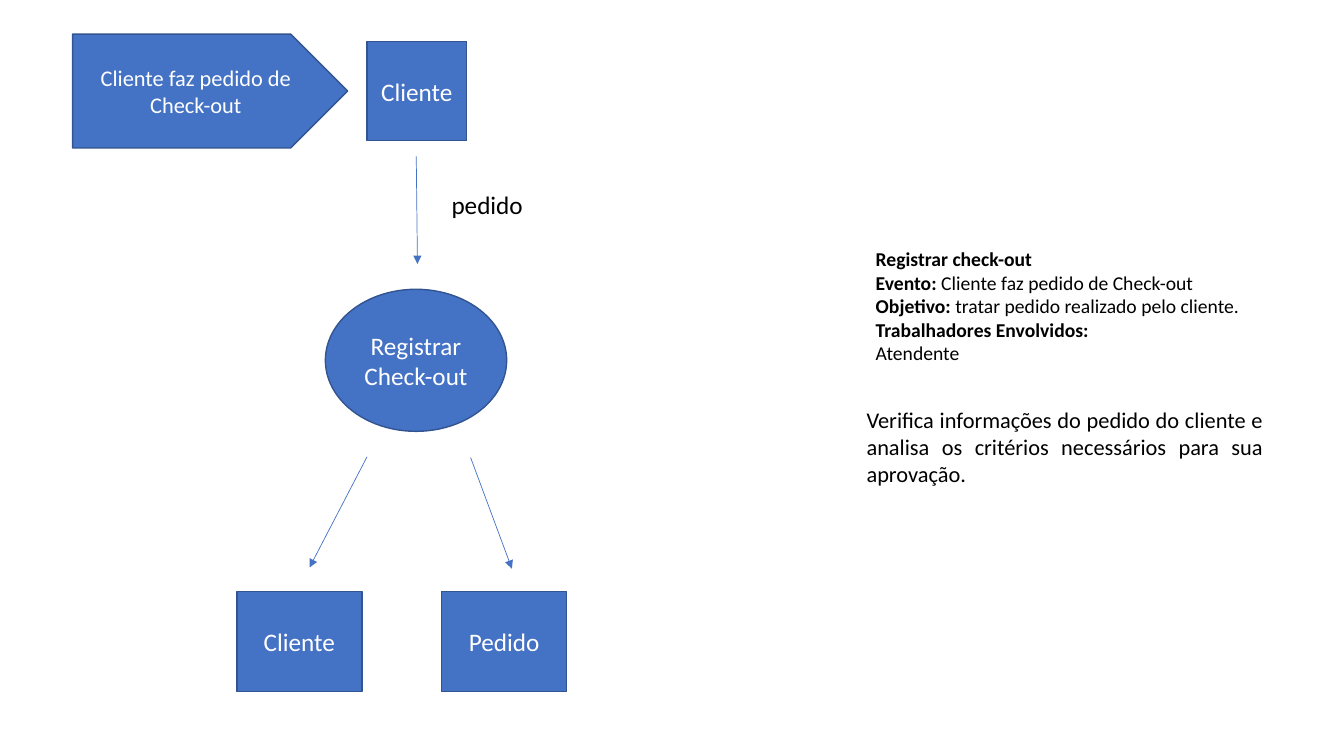
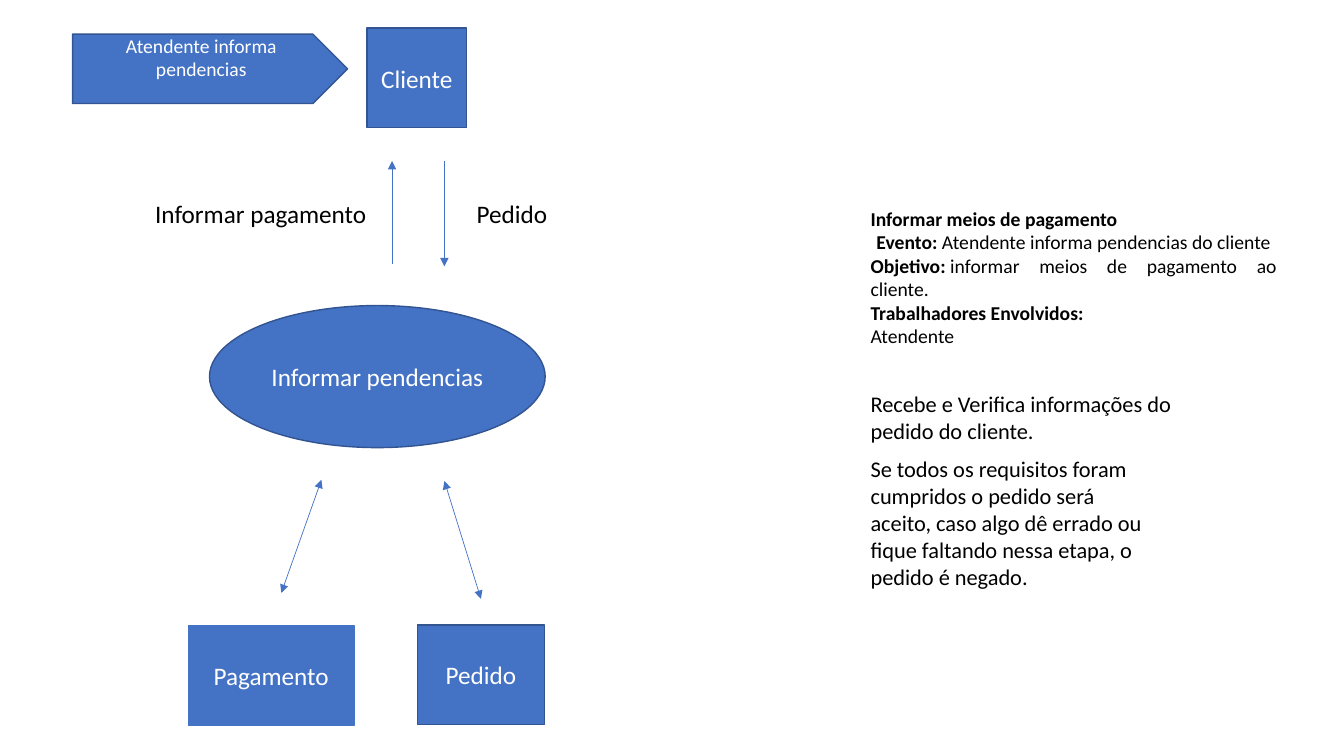
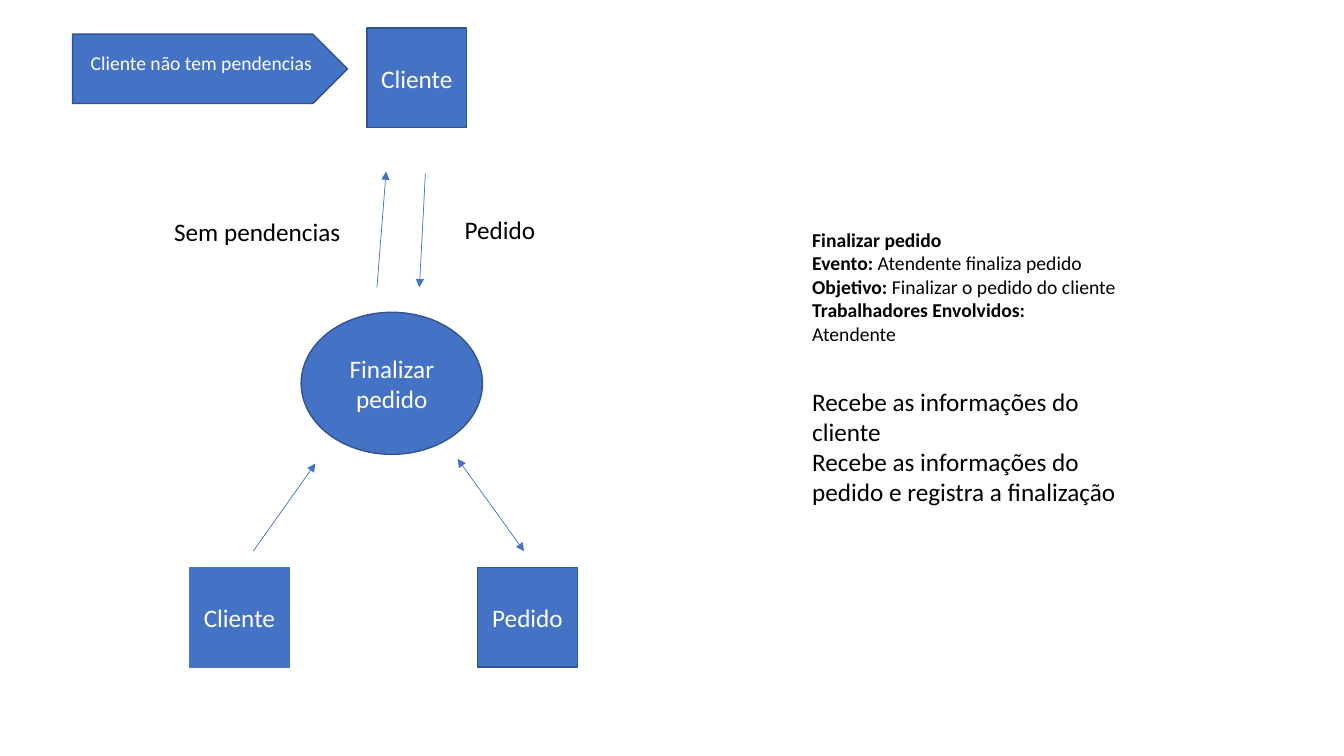
from pptx import Presentation
from pptx.dml.color import RGBColor
from pptx.enum import shapes, text
from pptx.oxml import xmlchemy
from pptx.util import Cm, Pt

# Shared look
COLOURS = {"fill": "4472C4", "outline": "325491", "ink": "000000", "light": "FFFFFF"}
FONT = "Calibri"
BOX = 2.51
ELLIPSE_HEIGHT = 3.58
LABEL_HEIGHT = 1.02
CLIENT_LEFT = 9.25
EVENT_LEFT, EVENT_TOP, EVENT_WIDTH = 1.83, 0.86, 6.93
LEFT, CENTRE, JUSTIFY = text.PP_ALIGN.LEFT, text.PP_ALIGN.CENTER, text.PP_ALIGN.JUSTIFY


def colour(name):
    return RGBColor.from_string(COLOURS[name])


def format_paragraph(paragraph, size, ink, alignment):
    paragraph.alignment = alignment
    paragraph.font.name = FONT
    paragraph.font.size = Pt(size)
    paragraph.font.color.rgb = colour(ink)


# Elements
def add_node(slide, kind, caption, left, top, width, height, size=18, outline="outline"):
    shape = slide.shapes.add_shape(kind, Cm(left), Cm(top), Cm(width), Cm(height))
    shape.shadow.inherit = False
    shape.fill.solid()
    shape.fill.fore_color.rgb = colour("fill")
    shape.line.color.rgb = colour(outline)
    shape.line.width = Pt(1)
    frame = shape.text_frame
    frame.word_wrap = True
    frame.vertical_anchor = text.MSO_ANCHOR.MIDDLE
    frame.text = caption
    format_paragraph(frame.paragraphs[0], size, "light", CENTRE)
    return shape


def add_entity(slide, caption, left, top, width=BOX, outline="outline"):
    add_node(slide, shapes.MSO_SHAPE.RECTANGLE, caption, left, top, width, BOX,
             outline=outline)


def add_process(slide, caption, left, top, width=4.57):
    add_node(slide, shapes.MSO_SHAPE.OVAL, caption, left, top, width, ELLIPSE_HEIGHT)


def add_event(slide, caption, height, size, raise_by=0):
    """Event pentagon; a deeper bottom inset lifts its caption."""
    shape = add_node(slide, shapes.MSO_SHAPE.PENTAGON, caption, EVENT_LEFT, EVENT_TOP,
                     EVENT_WIDTH, height, size)
    if raise_by:
        shape.text_frame.margin_top = 0
        shape.text_frame.margin_bottom = Cm(2 * raise_by)


def add_arrow(slide, start, end, both_ways=False):
    connector = slide.shapes.add_connector(
        shapes.MSO_CONNECTOR.STRAIGHT, *(Cm(value) for value in (*start, *end)))
    connector.line.color.rgb = colour("fill")
    connector.line.width = Pt(0.5)
    line = connector.line._get_or_add_ln()
    for tag in ("a:headEnd", "a:tailEnd") if both_ways else ("a:tailEnd",):
        arrowhead = xmlchemy.OxmlElement(tag)
        arrowhead.set("type", "triangle")
        line.append(arrowhead)
    connector._element.spPr.append(xmlchemy.OxmlElement("a:effectLst"))


def add_text(slide, lines, left, top, width, height, size=18, alignment=LEFT):
    """Each line is a string, or a (bold, regular) pair."""
    shape = slide.shapes.add_textbox(Cm(left), Cm(top), Cm(width), Cm(height))
    frame = shape.text_frame
    frame.word_wrap = True
    frame.auto_size = text.MSO_AUTO_SIZE.SHAPE_TO_FIT_TEXT
    for index, line in enumerate(lines):
        paragraph = frame.add_paragraph() if index else frame.paragraphs[0]
        format_paragraph(paragraph, size, "ink", alignment)
        bold, regular = ("", line) if isinstance(line, str) else line
        for words, is_bold in ((bold, True), (regular, False)):
            if words:
                run = paragraph.add_run()
                run.text = words
                run.font.bold = is_bold
    return shape


def add_label(slide, caption, left, top, width):
    add_text(slide, [caption], left, top, width, LABEL_HEIGHT)


def add_summary(slide, title, event, goal, left, top, width, height):
    lines = [(title, ""), event, goal, ("Trabalhadores Envolvidos:", ""), "Atendente"]
    return add_text(slide, lines, left, top, width, height, 14, JUSTIFY)


# Slides
def build_register(slide):
    add_event(slide, "Cliente faz pedido de Check-out", 2.87, 16)
    add_entity(slide, "Cliente", CLIENT_LEFT, 1.04)
    add_process(slide, "Registrar Check-out", 8.2, 7.29)
    add_entity(slide, "Cliente", 5.97, 14.91, 3.15)
    add_entity(slide, "Pedido", 11.13, 14.91, 3.15)
    add_arrow(slide, (10.49, 3.94), (10.52, 6.65))
    add_arrow(slide, (11.86, 11.53), (12.9, 14.33))
    add_arrow(slide, (9.25, 11.51), (7.8, 14.3))
    add_label(slide, "pedido", 11.13, 4.65, 2.49)
    add_summary(slide, "Registrar check-out",
                ("Evento:", " Cliente faz pedido de Check-out"),
                ("Objetivo:", "\u00a0tratar pedido realizado pelo cliente."),
                21.82, 6.1, 10.06, 3.25)
    add_text(slide, ["Verifica informações do pedido do cliente e analisa os critérios "
                     "necessários para sua aprovação."],
             21.59, 10.11, 10.49, 3.07, 16, JUSTIFY)


def build_inform(slide):
    add_event(slide, "Atendente informa pendencias", 1.75, 14, raise_by=0.29)
    add_entity(slide, "Cliente", CLIENT_LEFT, 0.71)
    add_process(slide, "Informar pendencias", 5.28, 7.7, 8.46)
    add_entity(slide, "Pagamento", 4.75, 15.77, 4.17, outline="fill")
    add_entity(slide, "Pedido", 10.52, 15.75, 3.2)
    add_arrow(slide, (11.2, 4.06), (11.2, 6.71))
    add_arrow(slide, (9.88, 6.65), (9.88, 4.06))
    add_arrow(slide, (11.2, 12.12), (12.12, 15.09), both_ways=True)
    add_arrow(slide, (8.1, 12.09), (7.09, 14.94), both_ways=True)
    add_label(slide, "Pedido", 11.76, 4.88, 2.46)
    add_label(slide, "Informar pagamento", 3.66, 4.88, 5.94)
    summary = add_summary(slide, "Informar meios de pagamento",
                          ("Evento: ", "Atendente informa pendencias do cliente"),
                          ("Objetivo:\u00a0", "informar meios de pagamento ao cliente."),
                          21.69, 5.08, 10.74, 3.84)
    summary.text_frame.paragraphs[1].alignment = CENTRE
    add_text(slide, ["Recebe e Verifica informações do pedido do cliente."],
             21.69, 9.7, 8.61, 1.63, 16)
    add_text(slide, ["Se todos os requisitos foram cumpridos o pedido será aceito, caso algo "
                     "dê errado ou fique faltando nessa etapa, o pedido é negado."],
             21.69, 11.35, 7.62, 3.68, 16)


def build_finish(slide):
    add_event(slide, "Cliente não tem pendencias", 1.75, 14, raise_by=0.15)
    add_entity(slide, "Cliente", CLIENT_LEFT, 0.71)
    add_process(slide, "Finalizar pedido", 7.59, 7.87)
    add_entity(slide, "Cliente", 4.78, 14.3, outline="fill")
    add_entity(slide, "Pedido", 12.04, 14.3)
    add_arrow(slide, (10.72, 4.37), (10.57, 7.24))
    add_arrow(slide, (9.5, 7.24), (9.73, 4.32))
    add_arrow(slide, (13.21, 13.89), (11.53, 11.56), both_ways=True)
    add_arrow(slide, (6.38, 13.89), (7.95, 11.68))
    add_label(slide, "Pedido", 11.46, 5.28, 4.95)
    add_label(slide, "Sem pendencias", 4.14, 5.33, 4.95)
    add_summary(slide, "Finalizar pedido",
                ("Evento:", "\u00a0Atendente finaliza pedido"),
                ("Objetivo: ", "Finalizar o pedido do cliente"),
                20.22, 5.61, 13.6, 3.25)
    add_text(slide, ["Recebe as informações do cliente",
                     "Recebe as informações do pedido e registra a finalização"],
             20.22, 9.6, 8.61, 3.33)


def main():
    presentation = Presentation()
    presentation.slide_width, presentation.slide_height = Cm(33.87), Cm(19.05)
    blank = presentation.slide_layouts.get_by_name("Blank")
    for build in (build_register, build_inform, build_finish):
        build(presentation.slides.add_slide(blank))
    presentation.save("out.pptx")


main()
